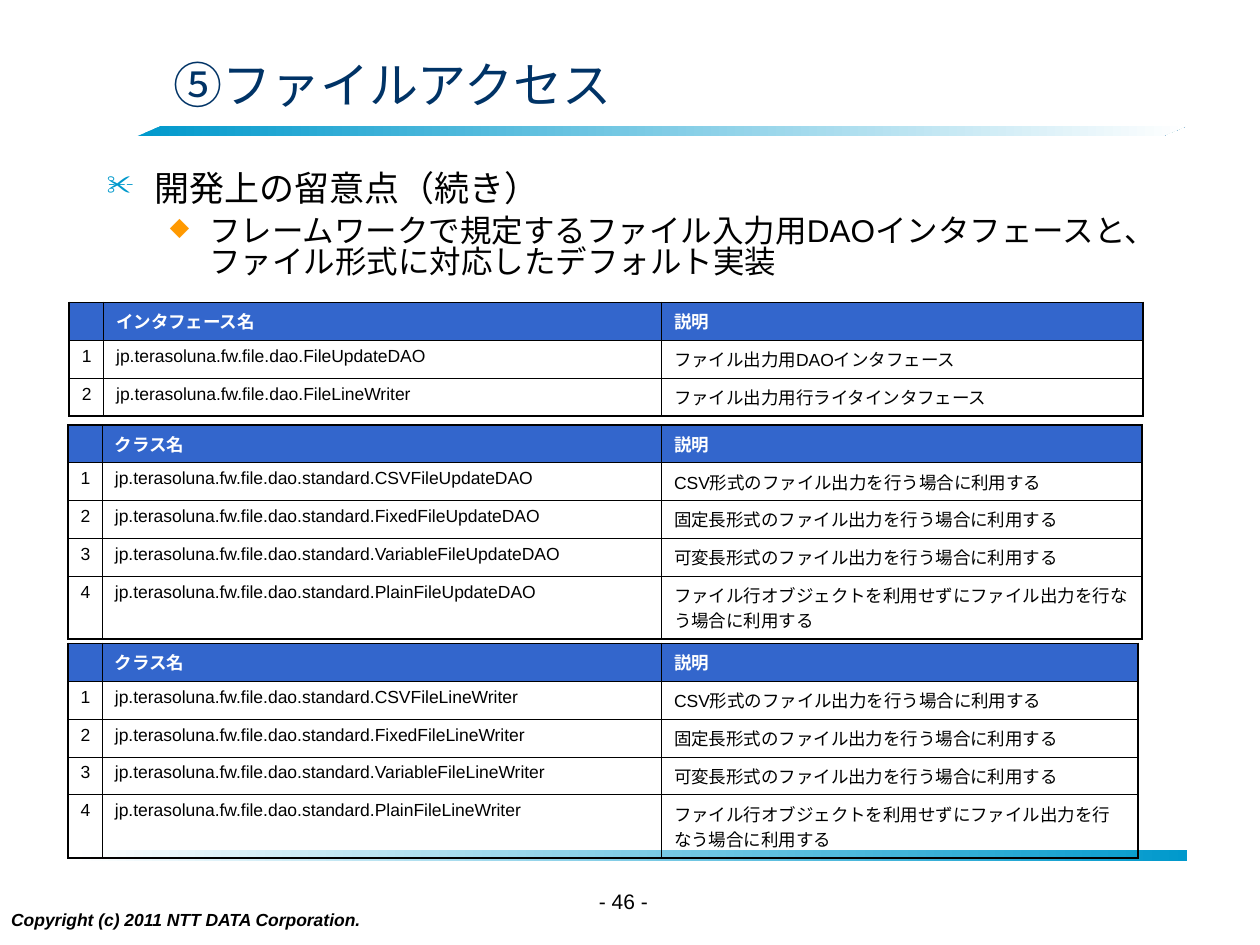
import pptx
import pptx.dml.color
import pptx.enum.dml
import pptx.enum.lang
import pptx.enum.shapes
import pptx.enum.text
import pptx.oxml
import pptx.oxml.ns
import pptx.util

Pt = pptx.util.Pt
RGBColor = pptx.dml.color.RGBColor
PP_ALIGN = pptx.enum.text.PP_ALIGN

BLACK = RGBColor(0x00, 0x00, 0x00)
WHITE = RGBColor(0xFF, 0xFF, 0xFF)
NAVY = RGBColor(0x00, 0x33, 0x66)
TEAL = RGBColor(0x00, 0x99, 0xCC)
ORANGE = RGBColor(0xFF, 0x99, 0x00)
HEADER_BLUE = RGBColor(0x33, 0x66, 0xCC)
LATIN_FONT = "Arial"
JAPANESE_FONT = "Noto Sans CJK JP"

TITLE = "⑤ファイルアクセス"
# text, size, bullet, bullet colour, left margin, hanging indent, space before
BULLETS = [
    ("開発上の留意点（続き）", 20, "✂", TEAL, 27, 27, 0),
    ("フレームワークで規定するファイル入力用DAOインタフェースと、"
     "ファイル形式に対応したデフォルト実装", 18, "◆", ORANGE, 58.5, 22.5, 5),
]
COPYRIGHT = "Copyright (c) 2011 NTT DATA Corporation."
PAGE_NUMBER = "- 46 -"

INTERFACES = [
    ("jp.terasoluna.fw.file.dao.FileUpdateDAO", "ファイル出力用DAOインタフェース"),
    ("jp.terasoluna.fw.file.dao.FileLineWriter", "ファイル出力用行ライタインタフェース"),
]
FORMATS = [
    ("CSV", "CSV形式のファイル出力を行う場合に利用する"),
    ("Fixed", "固定長形式のファイル出力を行う場合に利用する"),
    ("Variable", "可変長形式のファイル出力を行う場合に利用する"),
    ("Plain", "ファイル行オブジェクトを利用せずにファイル出力を行なう場合に利用する"),
]


def implementations(suffix):
    """List the standard class of every file format with its description."""
    return [(f"jp.terasoluna.fw.file.dao.standard.{name}File{suffix}", description)
            for name, description in FORMATS]


# name heading, entries, left, top, right
TABLES = [
    ("インタフェース名", INTERFACES, 39.6, 172.8, 653),
    ("クラス名", implementations("UpdateDAO"), 38.9, 242.8, 652.6),
    ("クラス名", implementations("LineWriter"), 38.9, 367.7, 650.2),
]
NUMBER_WIDTH = 19.6
DESCRIPTION_LEFT = 378
ROW_HEIGHT, TALL_ROW_HEIGHT = 21.6, 36
CHARACTERS_PER_LINE = 26
THIN, THICK = 0.45, 1.08


def style_text(paragraph, size, color=BLACK, bold=False, italic=False, font=LATIN_FONT):
    for run in paragraph.runs:
        run.font.name = font
        run.font.size = Pt(size)
        run.font.bold = bold
        run.font.italic = italic
        run.font.color.rgb = color
        run.font.language_id = pptx.enum.lang.MSO_LANGUAGE_ID.JAPANESE
        east_asian = pptx.oxml.parse_xml(
            f'<a:ea {pptx.oxml.ns.nsdecls("a")} typeface="{JAPANESE_FONT}"/>')
        run.font._element.find(pptx.oxml.ns.qn("a:latin")).addnext(east_asian)


def add_text_box(slide, left, top, width, height):
    text_frame = slide.shapes.add_textbox(Pt(left), Pt(top), Pt(width), Pt(height)).text_frame
    text_frame.word_wrap = True
    return text_frame


def add_gradient_bar(slide, left, top, width, slant, start, end):
    shape = slide.shapes.add_shape(pptx.enum.shapes.MSO_SHAPE.PARALLELOGRAM,
                                   Pt(left), Pt(top), Pt(width), Pt(6))
    shape.adjustments[0] = slant
    shape.shadow.inherit = False
    shape.line.fill.background()
    shape.fill.gradient()
    shape.fill.gradient_angle = 0
    for stop, color, position in zip(shape.fill.gradient_stops, (start, end), (0, 1)):
        stop.color.rgb = color
        stop.position = position


def add_bullet(paragraph, character, color, margin, hanging):
    properties = paragraph._p.get_or_add_pPr()
    properties.set("marL", str(Pt(margin)))
    properties.set("indent", str(-Pt(hanging)))
    for xml in (f'<a:buClr {{}}><a:srgbClr val="{color}"/></a:buClr>',
                '<a:buSzPct {} val="80000"/>',
                f'<a:buChar {{}} char="{character}"/>'):
        properties.append(pptx.oxml.parse_xml(xml.format(pptx.oxml.ns.nsdecls("a"))))


def set_borders(cell, widths):
    """Draw the left, right, top and bottom borders in the given widths."""
    properties = cell._tc.get_or_add_tcPr()
    for index, (side, width) in enumerate(zip("LRTB", widths)):
        properties.insert(index, pptx.oxml.parse_xml(
            f'<a:ln{side} {pptx.oxml.ns.nsdecls("a")} w="{Pt(width)}"><a:solidFill>'
            f'<a:srgbClr val="{BLACK}"/></a:solidFill></a:ln{side}>'))


def add_listing_table(slide, heading, entries, left, top, right):
    rows = [("", heading, "説明")]
    rows += [(str(number), *entry) for number, entry in enumerate(entries, 1)]
    widths = (NUMBER_WIDTH, DESCRIPTION_LEFT - left - NUMBER_WIDTH, right - DESCRIPTION_LEFT)
    heights = [TALL_ROW_HEIGHT if len(row[2]) > CHARACTERS_PER_LINE else ROW_HEIGHT
               for row in rows]
    table = slide.shapes.add_table(len(rows), len(widths), Pt(left), Pt(top),
                                   Pt(right - left), Pt(sum(heights))).table
    table.horz_banding = False
    for column, width in zip(table.columns, widths):
        column.width = Pt(width)
    last_row, last_column = len(rows) - 1, len(widths) - 1
    for i, (row, height) in enumerate(zip(rows, heights)):
        table.rows[i].height = Pt(height)
        header = i == 0
        for j, text in enumerate(row):
            cell = table.cell(i, j)
            paragraph = cell.text_frame.paragraphs[0]
            if text:
                paragraph.text = text
                style_text(paragraph, 10, WHITE if header else BLACK, bold=header)
            else:
                paragraph.font.size = Pt(10)
            if header:
                cell.fill.solid()
                cell.fill.fore_color.rgb = HEADER_BLUE
            else:
                cell.fill.background()
            edges = (j == 0, j == last_column, i == 0, i == last_row)
            set_borders(cell, [THICK if edge else THIN for edge in edges])


def main():
    presentation = pptx.Presentation()
    presentation.slide_width, presentation.slide_height = Pt(720), Pt(540)
    slide = presentation.slides.add_slide(presentation.slide_layouts[6])

    add_gradient_bar(slide, 78, 72, 600, 2.35, TEAL, WHITE)
    add_gradient_bar(slide, 42, 486, 636, 0, WHITE, TEAL)

    title = add_text_box(slide, 92, 24, 520, 48)
    title.vertical_anchor = pptx.enum.text.MSO_ANCHOR.MIDDLE
    title.text = TITLE
    style_text(title.paragraphs[0], 28, NAVY, font=JAPANESE_FONT)

    body = add_text_box(slide, 54, 96, 624, 76)
    for index, (text, size, character, color, margin, hanging, before) in enumerate(BULLETS):
        paragraph = body.add_paragraph() if index else body.paragraphs[0]
        paragraph.text = text
        add_bullet(paragraph, character, color, margin, hanging)
        paragraph.line_spacing = 0.82
        paragraph.space_before = Pt(before)
        style_text(paragraph, size)

    copyright_line = add_text_box(slide, -0.7, 516, 320, 24)
    copyright_line.text = COPYRIGHT
    style_text(copyright_line.paragraphs[0], 10, bold=True, italic=True)

    page_number = add_text_box(slide, 319, 504, 58.3, 24)
    page_number.text = PAGE_NUMBER
    page_number.paragraphs[0].alignment = PP_ALIGN.RIGHT
    style_text(page_number.paragraphs[0], 12)

    for table in TABLES:
        add_listing_table(slide, *table)

    presentation.save("out.pptx")


if __name__ == "__main__":
    main()
